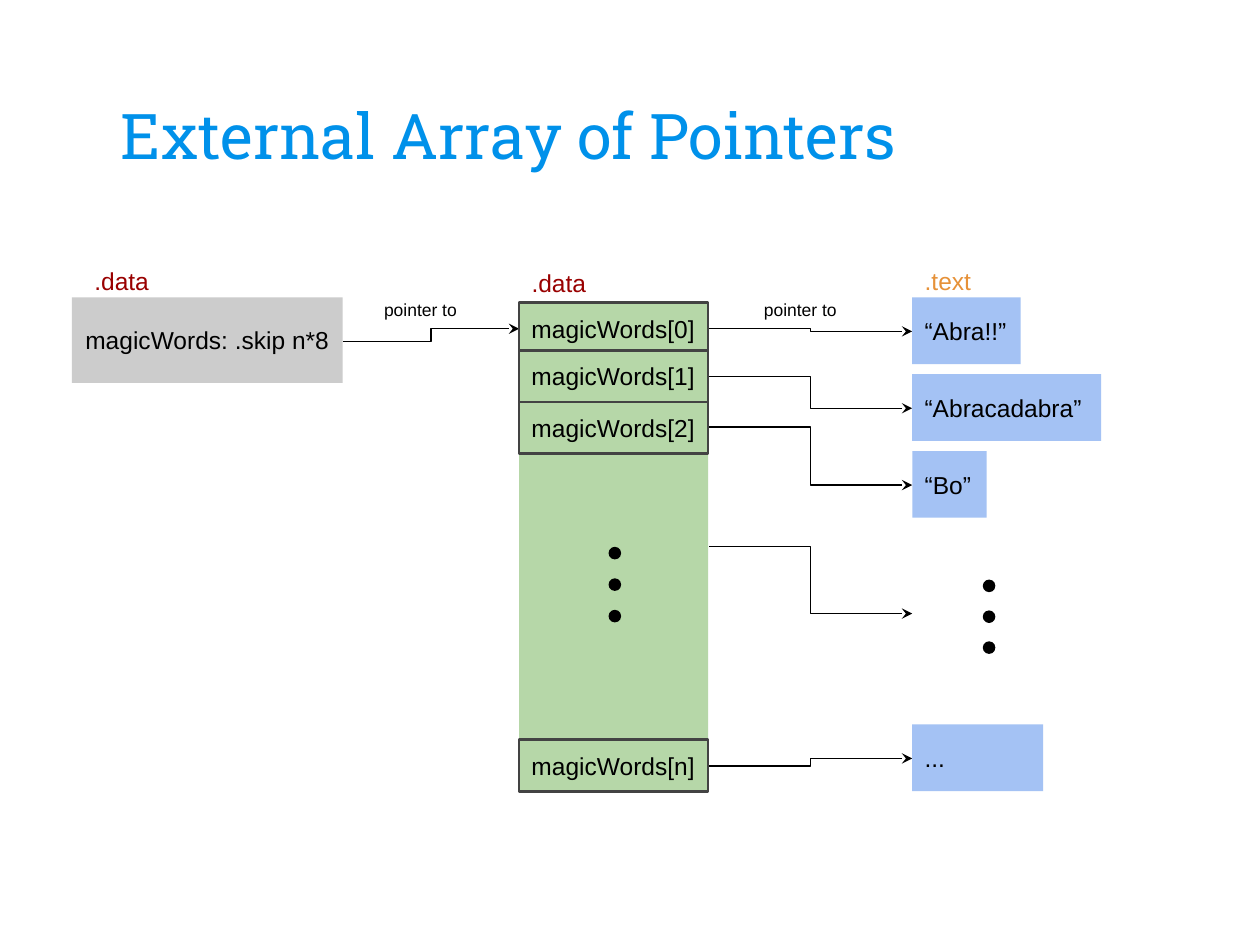
from dataclasses import dataclass

from lxml.etree import SubElement
from pptx import Presentation
from pptx.dml.color import RGBColor
from pptx.enum.shapes import MSO_CONNECTOR, MSO_SHAPE
from pptx.enum.text import MSO_ANCHOR, PP_ALIGN
from pptx.oxml.ns import qn
from pptx.util import Inches, Pt


@dataclass(frozen=True)
class Theme:
    """Colours, fonts and type sizes of the slide."""
    title: str = "0091EA"
    ink: str = "000000"
    variable: str = "CCCCCC"
    array: str = "B6D7A8"
    border: str = "434343"
    string: str = "A4C2F4"
    data_label: str = "990000"
    text_label: str = "E69138"
    title_font: str = "Roboto Slab"
    body_font: str = "Arial"
    title_size: int = 36
    body_size: int = 14
    note_size: int = 10


@dataclass(frozen=True)
class Box:
    """A rectangle in inches."""
    left: float
    top: float
    width: float
    height: float

    def inside(self, left, top, width, height):
        """Return a box whose corner is measured from this one."""
        return Box(self.left + left, self.top + top, width, height)

    def lengths(self):
        """Return left, top, width and height as lengths."""
        return [Inches(value) for value in (self.left, self.top, self.width, self.height)]


THEME = Theme()
CELL_HEIGHT = 0.41
STRING_HEIGHT = 0.53
LABEL_SIZE = (0.65, 0.26)
FRAME_FORMAT = {
    "word_wrap": True,
    "margin_left": Inches(0.1),
    "margin_right": Inches(0.05),
    "margin_top": Inches(0.1),
    "margin_bottom": Inches(0.1),
}


def apply_format(target, values):
    """Set every attribute named in values on the target."""
    for name, value in values.items():
        setattr(target, name, value)


def write_text(shape, text, color=THEME.ink, size=THEME.body_size, font=THEME.body_font,
               anchor=MSO_ANCHOR.MIDDLE, alignment=PP_ALIGN.LEFT, **frame_format):
    """Fill the text frame of a shape with one formatted paragraph."""
    frame = shape.text_frame
    apply_format(frame, {**FRAME_FORMAT, "vertical_anchor": anchor, **frame_format})
    paragraph = frame.paragraphs[0]
    paragraph.alignment = alignment
    run = paragraph.add_run()
    run.text = text
    apply_format(run.font, {"name": font, "size": Pt(size)})
    run.font.color.rgb = RGBColor.from_string(color)


def add_block(shapes, box, fill, border=None, kind=MSO_SHAPE.RECTANGLE):
    """Add a flat filled shape, outlined when a border colour is given."""
    shape = shapes.add_shape(kind, *box.lengths())
    shape.shadow.inherit = False
    shape.fill.solid()
    shape.fill.fore_color.rgb = RGBColor.from_string(fill)
    if border:
        shape.line.color.rgb = RGBColor.from_string(border)
        shape.line.width = Pt(1.5)
    else:
        shape.line.fill.background()
    return shape


def add_label(slide, box, text, color=THEME.ink, size=THEME.body_size):
    """Add a text box with one line of text."""
    label = slide.shapes.add_textbox(*box.lengths())
    write_text(label, text, color, size, anchor=MSO_ANCHOR.TOP)


def add_dots(slide, box):
    """Add a group of three dots spread evenly down the box."""
    group = slide.shapes.add_group_shape()
    step = (box.height - box.width) / 2
    for index in range(3):
        dot = box.inside(0, index * step, box.width, box.width)
        add_block(group.shapes, dot, THEME.ink, kind=MSO_SHAPE.OVAL)


def add_arrow(slide, start, end):
    """Add an elbow connector with a stealth arrowhead at its end."""
    points = [Inches(value) for value in (*start, *end)]
    connector = slide.shapes.add_connector(MSO_CONNECTOR.ELBOW, *points)
    connector.line.color.rgb = RGBColor.from_string(THEME.ink)
    connector.line.width = Pt(0.75)
    SubElement(connector.line._get_or_add_ln(), qn("a:tailEnd"), type="stealth")
    SubElement(connector._element.spPr, qn("a:effectLst"))


def add_title(slide, box):
    """Place the title placeholder in the box."""
    title = slide.shapes.title
    apply_format(title, dict(zip(("left", "top", "width", "height"), box.lengths())))
    write_text(title, "External Array of Pointers", THEME.title, THEME.title_size,
               THEME.title_font, MSO_ANCHOR.BOTTOM)


def add_variable(slide, box):
    """Draw the variable that holds the address of the array."""
    block = add_block(slide.shapes, box, THEME.variable)
    write_text(block, "magicWords: .skip n*8", alignment=PP_ALIGN.CENTER,
               margin_left=Inches(0.05))
    add_label(slide, box.inside(0.08, -0.35, *LABEL_SIZE), ".data", THEME.data_label)


def add_array(slide, box):
    """Draw the array of pointers with its first and last cells."""
    add_block(slide.shapes, box, THEME.array)
    cell_tops = {"0": 0, "1": 0.38, "2": 0.79, "n": box.height - CELL_HEIGHT}
    for index, top in cell_tops.items():
        cell = box.inside(0, top, box.width, CELL_HEIGHT)
        block = add_block(slide.shapes, cell, THEME.array, THEME.border)
        write_text(block, f"magicWords[{index}]")
    add_dots(slide, box.inside(0.71, 1.94, 0.1, 0.6))
    add_label(slide, box.inside(0, -0.37, *LABEL_SIZE), ".data", THEME.data_label)


def add_strings(slide, box):
    """Draw the strings that the array cells point to."""
    strings = [("“Abra!!”", 0, 0.86), ("“Abracadabra”", 0.61, 1.5),
               ("“Bo”", 1.22, 0.59), ("...", box.height - STRING_HEIGHT, 1.04)]
    for text, top, width in strings:
        block = add_block(slide.shapes, box.inside(0, top, width, STRING_HEIGHT), THEME.string)
        write_text(block, text)
    add_dots(slide, box.inside(0.56, 2.24, 0.1, 0.59))
    add_label(slide, box.inside(0, -0.35, *LABEL_SIZE), ".text", THEME.text_label)


def add_pointers(slide, box, heights):
    """Draw arrows across the box and the note above the first one."""
    for start, end in heights:
        add_arrow(slide, (box.left, box.top + start),
                  (box.left + box.width, box.top + end))
    note = box.inside((box.width - 0.94) / 2, -0.07, 0.94, 0.45)
    add_label(slide, note, "pointer to", size=THEME.note_size)


def main():
    """Build the slide and save it."""
    presentation = Presentation()
    apply_format(presentation, {"slide_width": Inches(10), "slide_height": Inches(7.5)})
    slide = presentation.slides.add_slide(presentation.slide_layouts[5])
    add_title(slide, Box(0.86, 0.45, 8.28, 1.02))
    add_pointers(slide, Box(2.72, 2.36, 1.4, 0.68), [(0.35, 0.25)])
    add_pointers(slide, Box(5.63, 2.36, 1.61, 3.92),
                 [(0.25, 0.27), (0.63, 0.88), (1.03, 1.49), (1.98, 2.51), (3.72, 3.66)])
    add_variable(slide, Box(0.57, 2.36, 2.15, 0.68))
    add_array(slide, Box(4.12, 2.4, 1.5, 3.88))
    add_strings(slide, Box(7.24, 2.36, 1.5, 3.92))
    presentation.save("out.pptx")


if __name__ == "__main__":
    main()
